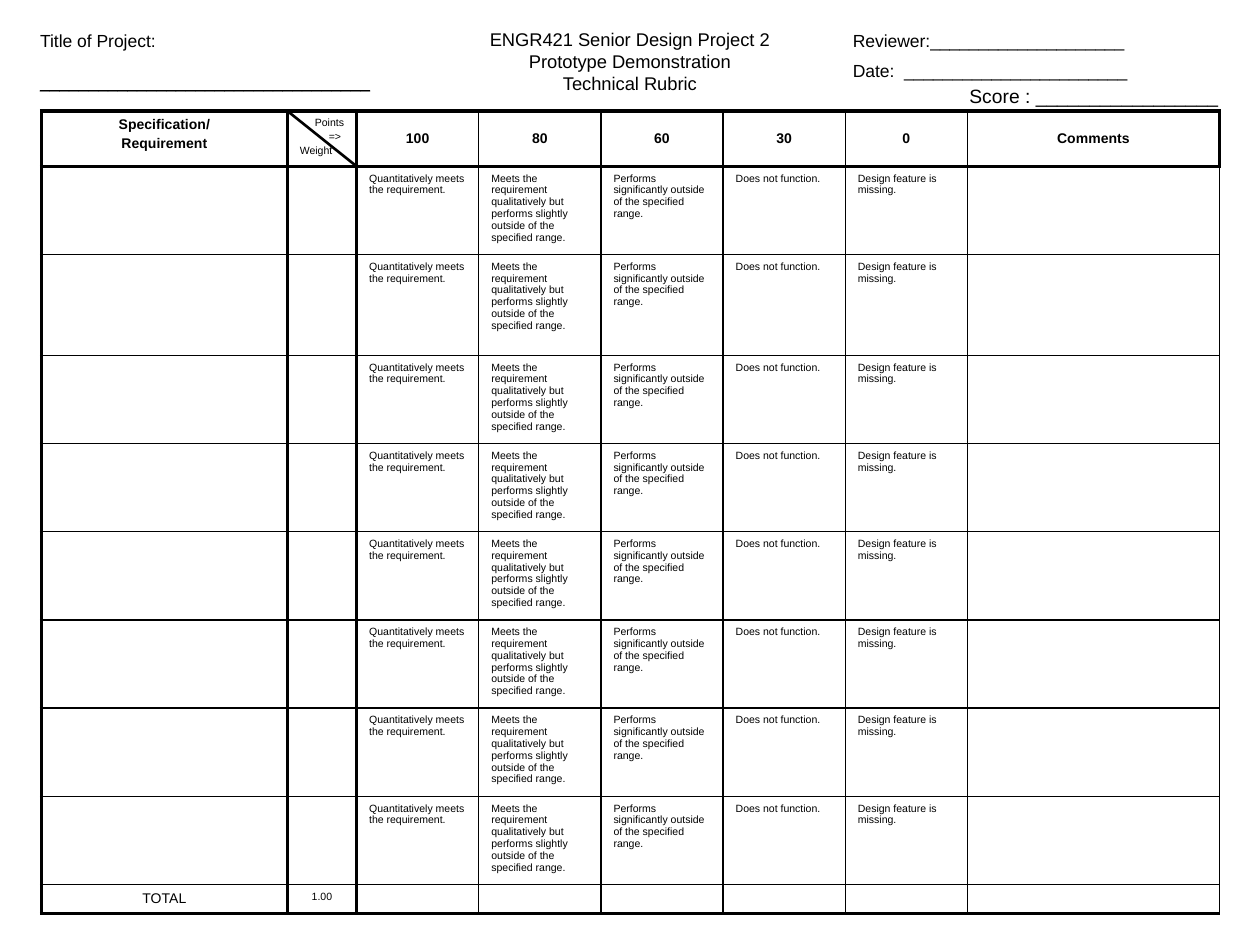
from dataclasses import dataclass
from itertools import accumulate

from lxml import etree
from pptx import Presentation
from pptx.dml.color import RGBColor
from pptx.enum.shapes import MSO_CONNECTOR
from pptx.enum.text import MSO_ANCHOR, MSO_AUTO_SIZE, PP_ALIGN
from pptx.oxml.ns import qn
from pptx.util import Inches, Pt

LEFT, CENTER, RIGHT = PP_ALIGN.LEFT, PP_ALIGN.CENTER, PP_ALIGN.RIGHT
TOP, MIDDLE = MSO_ANCHOR.TOP, MSO_ANCHOR.MIDDLE
NO_AUTOFIT = MSO_AUTO_SIZE.NONE
STRAIGHT = MSO_CONNECTOR.STRAIGHT

COLORS = {"ink": "000000"}
FONT = "Arial"
TITLE_ONLY = 5
THIN, THICK = 1, 2.25
SMALL, MEDIUM = 6, 8

TABLE_LEFT, TABLE_TOP = 0.33, 0.88
COLUMN_WIDTHS = [1.95, 0.55] + [0.97] * 5 + [2]
ROW_HEIGHTS = [0.44, 0.7, 0.8] + [0.7] * 6 + [0.23]
LAST_ROW = len(ROW_HEIGHTS) - 1
LEVELS = [
    ("100", "Quantitatively meets the requirement."),
    ("80", "Meets the requirement qualitatively but performs slightly "
           "outside of the specified range."),
    ("60", "Performs significantly outside of the specified range."),
    ("30", "Does not function."),
    ("0", "Design feature is missing."),
]


@dataclass
class Field:
    """A fill-in area above the rubric; box is left, top, width, height."""
    box: tuple
    lines: list
    size: float
    gap: float = 0
    align: int = LEFT
    wrap: bool = True
    underlined: tuple = ()


@dataclass
class CellText:
    lines: list
    size: float = SMALL
    bold: bool = False
    aligns: tuple = (LEFT,)
    anchor: int = TOP


FIELDS = [
    Field((6.67, 0.19, 3.17, 0.52),
          ["Reviewer:" + "_" * 20, "Date:  " + "_" * 23], 10, gap=5),
    Field((0.22, 0.19, 2.82, 0.61), ["Title of Project:", "_" * 34], 10,
          gap=11.5, wrap=False, underlined=(1,)),
    Field((5.33, 0.62, 4.44, 0.29), ["Score : " + "_" * 17], 11, align=RIGHT),
]


def write_text(frame, lines: list, *, size: float, bold: bool = False,
               aligns: tuple = (LEFT,), gap: float = 0,
               underlined: tuple = ()) -> None:
    """Write one paragraph per line; the last alignment serves the rest."""
    for index, line in enumerate(lines):
        paragraph = frame.paragraphs[0] if index == 0 else frame.add_paragraph()
        paragraph.text = line
        paragraph.alignment = aligns[min(index, len(aligns) - 1)]
        paragraph.space_before = Pt(gap if index else 0)
        for run in paragraph.runs:
            font = run.font
            font.name, font.size, font.bold = FONT, Pt(size), bold
            font.color.rgb = RGBColor.from_string(COLORS["ink"])
            if index in underlined:
                font.underline = True


def add_field(slide, field: Field) -> None:
    shape = slide.shapes.add_textbox(*map(Inches, field.box))
    frame = shape.text_frame
    frame.word_wrap = field.wrap
    write_text(frame, field.lines, size=field.size, aligns=(field.align,),
               gap=field.gap, underlined=field.underlined)


def add_title(slide) -> None:
    title = slide.shapes.title
    title.left, title.top, title.width, title.height = map(
        Inches, (0.5, 0, 9, 0.67))
    frame = title.text_frame
    frame.word_wrap = True
    frame.auto_size = NO_AUTOFIT
    frame.vertical_anchor = TOP
    frame.margin_top = Inches(0.22)
    heading = "ENGR421 Senior Design Project 2\vPrototype Demonstration\vTechnical Rubric"
    write_text(frame, [heading], size=10.5, aligns=(CENTER,))


def rubric_texts() -> dict:
    """Map (row, column) to the text of each filled cell."""
    texts = {
        (0, 0): CellText(["Specification/", "Requirement"], MEDIUM, True, (CENTER,)),
        (0, 1): CellText(["Points", "=> ", "Weight"], aligns=(RIGHT, RIGHT, LEFT)),
        (0, 7): CellText(["Comments"], MEDIUM, True, (CENTER,), MIDDLE),
        (LAST_ROW, 0): CellText(["TOTAL"], MEDIUM, aligns=(CENTER,)),
        (LAST_ROW, 1): CellText(["1.00"], aligns=(CENTER,)),
    }
    for column, (points, description) in enumerate(LEVELS, start=2):
        texts[0, column] = CellText([points], MEDIUM, True, (CENTER,), MIDDLE)
        for row in range(1, LAST_ROW):
            texts[row, column] = CellText([description])
    return texts


def set_borders(cell, row: int, column: int) -> None:
    """Thick lines frame the header, the first two columns and the bottom."""
    last_column = len(COLUMN_WIDTHS) - 1
    thick_sides = {
        "L": column <= 2,
        "R": column <= 1 or (row == 0 and column == last_column),
        "T": row <= 1,
        "B": row in (0, LAST_ROW),
    }
    properties = cell._tc.get_or_add_tcPr()
    for side, thick in thick_sides.items():
        line = etree.SubElement(properties, qn(f"a:ln{side}"),
                                w=str(Pt(THICK if thick else THIN)))
        fill = etree.SubElement(line, qn("a:solidFill"))
        etree.SubElement(fill, qn("a:srgbClr"), val=COLORS["ink"])


def add_rubric(slide) -> None:
    table = slide.shapes.add_table(
        len(ROW_HEIGHTS), len(COLUMN_WIDTHS), Inches(TABLE_LEFT),
        Inches(TABLE_TOP), Inches(sum(COLUMN_WIDTHS)),
        Inches(sum(ROW_HEIGHTS))).table
    table.first_row = table.horz_banding = False
    for column, width in zip(table.columns, COLUMN_WIDTHS):
        column.width = Inches(width)
    for row, height in zip(table.rows, ROW_HEIGHTS):
        row.height = Inches(height)

    texts = rubric_texts()
    for row in range(len(ROW_HEIGHTS)):
        for column in range(len(COLUMN_WIDTHS)):
            cell = table.cell(row, column)
            text = texts.get((row, column))
            if text:
                cell.vertical_anchor = text.anchor
                write_text(cell.text_frame, text.lines, size=text.size,
                           bold=text.bold, aligns=text.aligns,
                           gap=text.size * 0.2)
            else:
                # A small end mark keeps empty cells from stretching the row
                etree.SubElement(cell.text_frame.paragraphs[0]._p,
                                 qn("a:endParaRPr"), sz=str(SMALL * 100))
            set_borders(cell, row, column)
            cell.fill.background()


def add_header_diagonal(slide) -> None:
    edges = [TABLE_LEFT + width for width in accumulate(COLUMN_WIDTHS)]
    connector = slide.shapes.add_connector(
        STRAIGHT, Inches(edges[0]), Inches(TABLE_TOP), Inches(edges[1]),
        Inches(TABLE_TOP + ROW_HEIGHTS[0]))
    connector.line.color.rgb = RGBColor.from_string(COLORS["ink"])
    connector.line.width = Pt(1.5)
    etree.SubElement(connector._element.spPr, qn("a:effectLst"))


def main() -> None:
    presentation = Presentation()
    presentation.slide_width, presentation.slide_height = Inches(10), Inches(7.5)
    slide = presentation.slides.add_slide(presentation.slide_layouts[TITLE_ONLY])

    # Heading, rubric table and fill-in fields
    add_title(slide)
    add_rubric(slide)
    for field in FIELDS:
        add_field(slide, field)

    # Diagonal splitting the points and weight header cell
    add_header_diagonal(slide)
    presentation.save("out.pptx")


if __name__ == "__main__":
    main()
